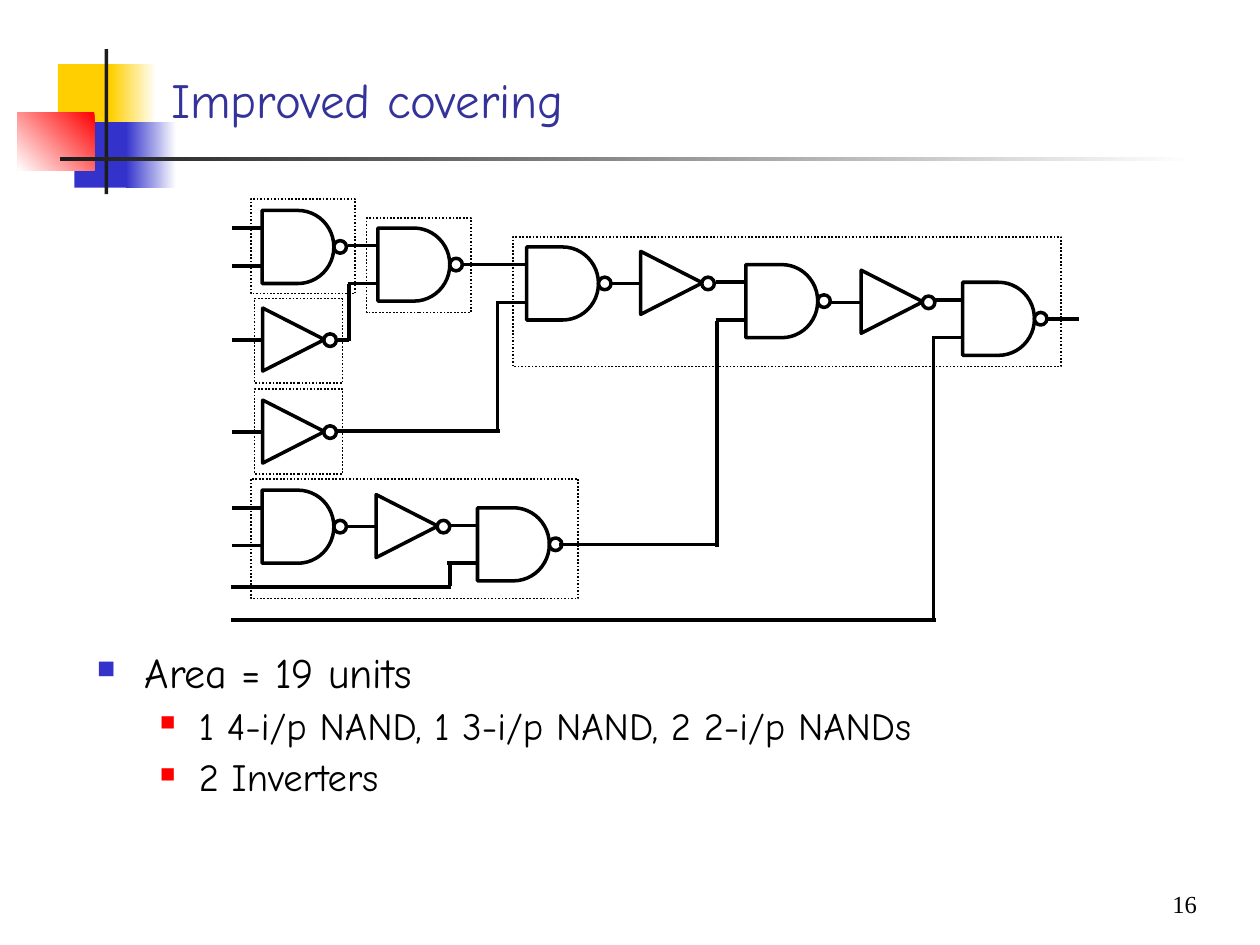
from dataclasses import dataclass

from lxml.etree import SubElement
from pptx import Presentation
from pptx.dml.color import RGBColor
from pptx.enum.dml import MSO_LINE
from pptx.enum.shapes import MSO_CONNECTOR, MSO_SHAPE
from pptx.enum.text import MSO_ANCHOR, PP_ALIGN
from pptx.oxml.ns import qn
from pptx.util import Inches, Pt


@dataclass(frozen=True)
class Theme:
    ink: str = "000000"
    paper: str = "FFFFFF"
    heading: str = "333399"
    yellow: str = "FFCF01"
    blue: str = "3333CC"
    red: str = "FF0000"
    charcoal: str = "1C1C1C"
    font: str = "Comic Neue"
    number_font: str = "Times New Roman"
    title_size: float = 28
    point_size: float = 24
    detail_size: float = 22
    number_size: float = 14
    stroke: float = 2
    outline: float = 1


theme = Theme()
presentation = Presentation()
presentation.slide_width, presentation.slide_height = Inches(10), Inches(7.5)
slide = presentation.slides.add_slide(presentation.slide_layouts[6])


def add_block(preset, left, top, width, height, fill=None, stroke=None):
    block = slide.shapes.add_shape(
        preset, Inches(left), Inches(top), Inches(width), Inches(height))
    block.shadow.inherit = False
    if fill:
        block.fill.solid()
        block.fill.fore_color.rgb = RGBColor.from_string(fill)
    else:
        block.fill.background()
    if stroke:
        block.line.color.rgb = RGBColor.from_string(theme.ink)
        block.line.width = Pt(stroke)
    else:
        block.line.fill.background()
    return block


def add_wire(x1, y1, x2, y2):
    wire = slide.shapes.add_connector(
        MSO_CONNECTOR.STRAIGHT, Inches(x1), Inches(y1), Inches(x2), Inches(y2))
    wire.line.color.rgb = RGBColor.from_string(theme.ink)
    wire.line.width = Pt(theme.stroke)
    SubElement(wire._element.spPr, qn("a:effectLst"))


# Corner decoration: left, top, width, height, first colour, last colour, angle
decoration = [
    (0.46, 0.51, 0.48, 0.52, theme.yellow, None, None),
    (0.88, 0.51, 0.36, 0.52, theme.paper, theme.yellow, 180),
    (0.59, 0.97, 0.46, 0.52, theme.blue, None, None),
    (1.00, 0.97, 0.40, 0.52, theme.paper, theme.blue, 180),
    (0.14, 0.89, 0.61, 0.46, theme.red, theme.paper, 225),
    (0.83, 0.39, 0.03, 1.15, theme.charcoal, None, None),
    (0.48, 1.25, 9.00, 0.03, theme.paper, theme.charcoal, 180),
]
for left, top, width, height, first, last, angle in decoration:
    patch = add_block(MSO_SHAPE.RECTANGLE, left, top, width, height, first)
    if last:
        patch.fill.gradient()
        patch.fill.gradient_angle = angle
        for stop, color in zip(patch.fill.gradient_stops, (first, last)):
            stop.color.rgb = RGBColor.from_string(color)

# Gates, each with its output bubble and its input leads
LEAD = 0.24
nands = [  # left, top, length of the upper lead
    (2.08, 1.67, LEAD), (3.00, 1.81, LEAD), (4.18, 1.96, 0.5),
    (5.92, 2.10, LEAD), (2.08, 3.89, LEAD), (3.79, 4.03, LEAD),
    (7.64, 2.24, LEAD),
]
inverters = [(2.08, 2.45), (5.08, 2.00), (2.08, 3.18), (2.98, 3.93), (6.83, 2.15)]
solid = {"fill": theme.paper, "stroke": theme.stroke}

for left, top, upper_lead in nands:
    add_block(MSO_SHAPE.FLOWCHART_DELAY, left, top, 0.57, 0.58, **solid)
    add_block(MSO_SHAPE.FLOWCHART_CONNECTOR, left + 0.57, top + 0.24, 0.1, 0.1, **solid)
    for drop, lead in ((0.14, upper_lead), (0.44, LEAD)):
        add_wire(left - lead, top + drop, left + 0.01, top + drop)

for left, top in inverters:
    triangle = add_block(MSO_SHAPE.FLOWCHART_MERGE, left, top, 0.5, 0.49, **solid)
    triangle.rotation = 270
    add_block(MSO_SHAPE.FLOWCHART_CONNECTOR, left + 0.49, top + 0.2, 0.1, 0.1, **solid)
    add_wire(left - LEAD, top + 0.25, left + 0.01, top + 0.25)

# Wires between gates
wires = [
    (2.77, 2.25, 2.77, 2.71), (2.68, 2.70, 2.77, 2.70),
    (3.95, 2.39, 3.95, 3.41), (2.67, 3.42, 3.97, 3.42),
    (5.69, 2.55, 5.69, 4.34), (4.44, 4.32, 5.69, 4.32),
    (1.83, 4.66, 3.58, 4.66), (3.57, 4.48, 3.57, 4.65),
    (1.83, 4.92, 7.43, 4.92), (7.41, 2.67, 7.41, 4.92),
    (8.31, 2.53, 8.56, 2.53),
]
for ends in wires:
    add_wire(*ends)

# Dotted outlines around the gates covered by one cell
cells = [
    (2.91, 1.73, 0.83, 0.75), (1.99, 1.58, 0.83, 0.75),
    (4.07, 1.88, 4.35, 1.03), (1.99, 3.80, 2.60, 0.95),
    (2.02, 3.09, 0.70, 0.67), (2.02, 2.37, 0.70, 0.67),
]
for bounds in cells:
    cell = add_block(MSO_SHAPE.RECTANGLE, *bounds, stroke=theme.outline)
    cell.line.dash_style = MSO_LINE.ROUND_DOT

# Text: bounds, frame format, paragraph format, font, colour, lines.
# A line is its text, size, and bullet (colour, size %, left, indent, space before).
point = (theme.blue, 60, 0.38, 0.38, 6)
detail = (theme.red, 55, 0.81, 0.31, 5.5)
texts = [
    ((1.26, 0.22, 8.52, 0.85), {"vertical_anchor": MSO_ANCHOR.BOTTOM}, {},
     theme.font, theme.heading,
     [("Improved covering", theme.title_size, None)]),
    ((0.67, 5.13, 8.5, 1.67), {"vertical_anchor": MSO_ANCHOR.TOP},
     {"line_spacing": 0.9}, theme.font, theme.ink,
     [("Area = 19 units", theme.point_size, point),
      ("1 4-i/p NAND, 1 3-i/p NAND, 2 2-i/p NANDs", theme.detail_size, detail),
      ("2 Inverters", theme.detail_size, detail)]),
    ((7.42, 6.92, 2.08, 0.5),
     {"vertical_anchor": MSO_ANCHOR.MIDDLE, "margin_left": Inches(1.4),
      "margin_top": 0, "margin_right": 0, "margin_bottom": 0},
     {"alignment": PP_ALIGN.RIGHT}, theme.number_font, theme.ink,
     [("16", theme.number_size, None)]),
]
for bounds, frame_format, paragraph_format, font, color, lines in texts:
    frame = slide.shapes.add_textbox(*map(Inches, bounds)).text_frame
    frame.word_wrap = True
    for name, value in frame_format.items():
        setattr(frame, name, value)
    for index, (wording, size, bullet) in enumerate(lines):
        paragraph = frame.add_paragraph() if index else frame.paragraphs[0]
        for name, value in paragraph_format.items():
            setattr(paragraph, name, value)
        run = paragraph.add_run()
        run.text = wording
        run.font.name, run.font.size = font, Pt(size)
        run.font.color.rgb = RGBColor.from_string(color)
        if bullet:
            bullet_color, percent, left, indent, before = bullet
            paragraph.level = int(bullet is detail)
            paragraph.space_before = Pt(before)
            properties = paragraph._p.get_or_add_pPr()
            properties.set("marL", str(Inches(left)))
            properties.set("indent", str(-Inches(indent)))
            tint = SubElement(properties, qn("a:buClr"))
            SubElement(tint, qn("a:srgbClr"), val=bullet_color)
            SubElement(properties, qn("a:buSzPct"), val=str(percent * 1000))
            SubElement(properties, qn("a:buChar"), char="■")

presentation.save("out.pptx")
